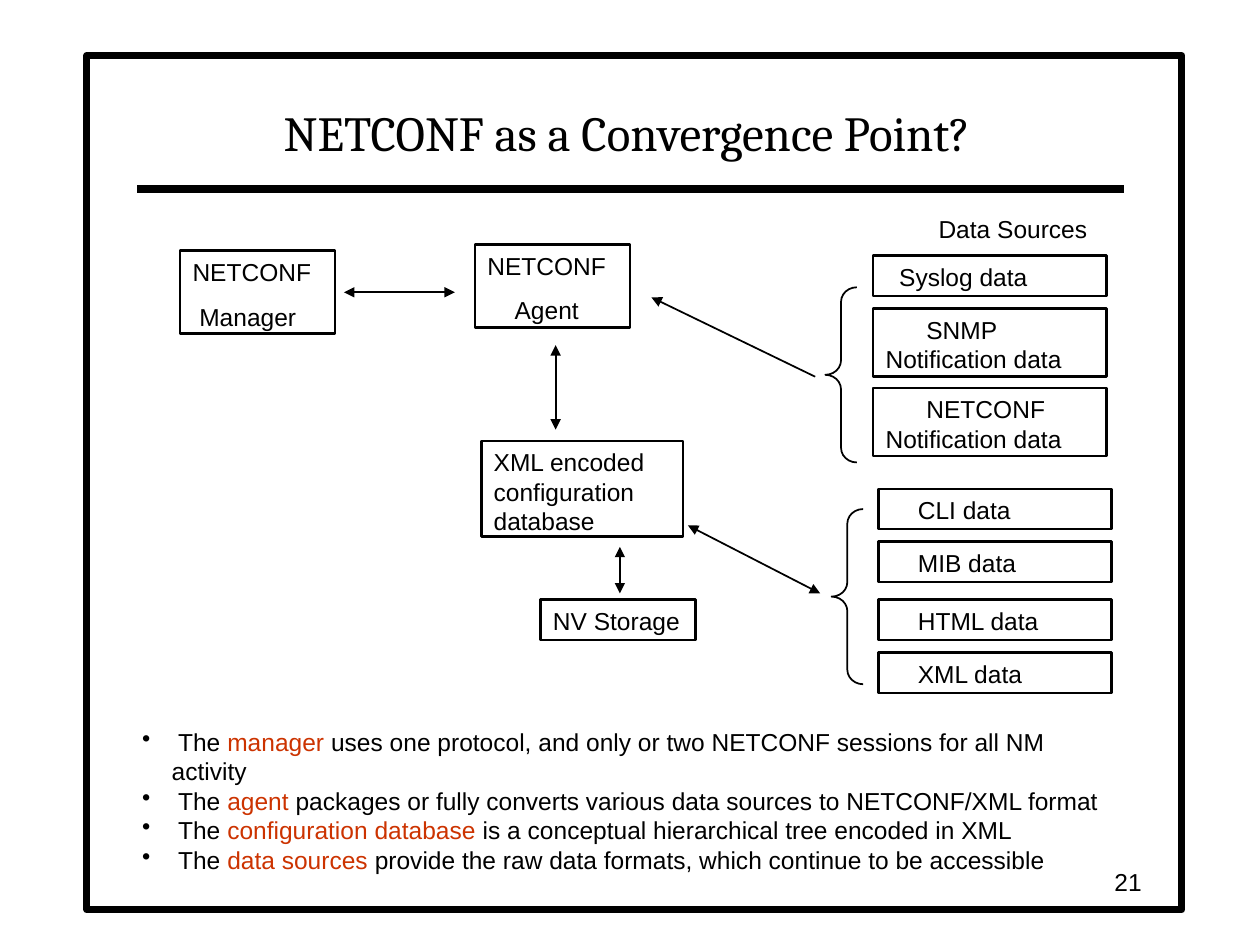
from lxml import etree
from pptx import Presentation
from pptx.dml.color import RGBColor
from pptx.enum.shapes import MSO_CONNECTOR, MSO_SHAPE
from pptx.enum.text import MSO_ANCHOR, PP_ALIGN
from pptx.oxml.ns import qn
from pptx.util import Inches, Pt

RECTANGLE, LEFT_BRACE = MSO_SHAPE.RECTANGLE, MSO_SHAPE.LEFT_BRACE
STRAIGHT = MSO_CONNECTOR.STRAIGHT
LEFT, CENTER, RIGHT = PP_ALIGN.LEFT, PP_ALIGN.CENTER, PP_ALIGN.RIGHT
TOP, MIDDLE, BOTTOM = MSO_ANCHOR.TOP, MSO_ANCHOR.MIDDLE, MSO_ANCHOR.BOTTOM
BLACK, WHITE, RED = "000000", "FFFFFF", "CC3300"
color = RGBColor.from_string

# The slide is a grid of 100 columns by 75 rows of square cells
CELL = Inches(0.1)
SPACE = 0.54  # columns taken by one 14 pt space

presentation = Presentation()
presentation.slide_width, presentation.slide_height = 100 * CELL, 75 * CELL
slide = presentation.slides.add_slide(presentation.slide_layouts[6])
shapes = slide.shapes


def write_text(shape, text, align=LEFT, anchor=TOP, size=14, font="Arial", wrap=True):
    frame = shape.text_frame
    frame.text = text
    frame.word_wrap, frame.vertical_anchor = wrap, anchor
    for paragraph in frame.paragraphs:
        paragraph.alignment = align
        paragraph.font.size, paragraph.font.name = Pt(size), font
        paragraph.font.color.rgb = color(BLACK)
    return frame


def add_line(start, end, width=1, arrowheads=()):
    points = [round(value * CELL) for value in (*start, *end)]
    line = shapes.add_connector(STRAIGHT, *points)
    line.line.width, line.line.color.rgb = Pt(width), color(BLACK)
    for tag in arrowheads:
        etree.SubElement(line.line._get_or_add_ln(), qn(tag), type="triangle")
    etree.SubElement(line._element.spPr, qn("a:effectLst"))


# Page frame and rule under the title
page_frame = shapes.add_shape(RECTANGLE, *[round(v * CELL) for v in (6.9, 4.4, 86.9, 67.8)])
page_frame.shadow.inherit = False
page_frame.fill.solid()
page_frame.fill.fore_color.rgb = color(WHITE)
page_frame.line.width, page_frame.line.color.rgb = Pt(4), color(BLACK)
add_line((10.9, 15), (89.2, 15), 4.5)

# Title, heading of the sources, page number
labels = [
    ("NETCONF as a Convergence Point?", (10.8, 5.8, 77.9, 7.5), CENTER, BOTTOM, 28, "Cambria", True),
    ("Data Sources", (73.5, 16.5, 13.8, 3.2), LEFT, TOP, 14, "Arial", False),
    ("21", (70.8, 68.3, 20.8, 3.3), RIGHT, MIDDLE, 14, "Arial", True),
]
for text, place, *style in labels:
    write_text(shapes.add_textbox(*[round(v * CELL) for v in place]), text, *style)

# Boxes: text, place, and first-line indent in spaces for each paragraph
boxes = [
    ("NETCONF\nManager", (14.3, 19.9, 12.3, 6.6), (0, 1)),
    ("NETCONF\nAgent", (37.7, 19.4, 12.3, 6.6), (0, 4)),
    ("XML encoded configuration database", (38.2, 35, 16, 7.6), (0,)),
    ("NV Storage", (42.9, 47.6, 12.3, 3.2), (0,)),
    ("Syslog data", (69.3, 20.3, 18.5, 3.2), (2,)),
    ("SNMP Notification data", (69.3, 24.5, 18.5, 5.4), (6,)),
    ("NETCONF Notification data", (69.3, 30.8, 18.5, 5.4), (6,)),
]
for name, row in (("CLI", 38.8), ("MIB", 43), ("HTML", 47.6), ("XML", 51.8)):
    boxes.append((f"{name} data", (69.7, row, 18.5, 3.2), (4,)))

for text, place, indents in boxes:
    box = shapes.add_shape(RECTANGLE, *[round(v * CELL) for v in place])
    box.shadow.inherit = False
    box.fill.background()
    box.line.width, box.line.color.rgb = Pt(1.5), color(BLACK)
    frame = write_text(box, text)
    for paragraph, spaces in zip(frame.paragraphs, indents):
        paragraph.space_before = Pt(8.7)
        paragraph._p.get_or_add_pPr().set("indent", str(round(spaces * SPACE * CELL)))

# Braces that group the sources
for column, row in ((65.5, 22.8), (66, 40.4)):
    brace = shapes.add_shape(LEFT_BRACE, *[round(v * CELL) for v in (column, row, 2.5, 13.9)])
    brace.shadow.inherit = False
    brace.adjustments[0] = 0.46
    brace.fill.background()
    brace.line.width, brace.line.color.rgb = Pt(1), color(BLACK)

# Arrows between the parts
both_ends = ("a:headEnd", "a:tailEnd")
add_line((27.3, 23.2), (36.1, 23.2), arrowheads=both_ends)  # manager, agent
add_line((51.7, 23.6), (64.7, 29.9), arrowheads=both_ends[:1])  # notifications to agent
add_line((44.1, 34.1), (44.1, 27.4), arrowheads=both_ends)  # database, agent
add_line((65.1, 47.1), (54.6, 41.7), arrowheads=both_ends)  # data, database
add_line((49.2, 47.1), (49.2, 43.4), arrowheads=both_ends)  # storage, database

# Bullets, each with one highlighted term
bullets = [
    ("manager", "uses one protocol, and only or two NETCONF sessions for all NM activity"),
    ("agent", "packages or fully converts various data sources to NETCONF/XML format"),
    ("configuration database", "is a conceptual hierarchical tree encoded in XML"),
    ("data sources", "provide the raw data formats, which continue to be accessible"),
]
bullet_box = shapes.add_textbox(*[round(v * CELL) for v in (10.3, 57.2, 79.4, 9.8)])
frame = write_text(bullet_box, "\n".join(" The " for _ in bullets))
for paragraph, (term, statement) in zip(frame.paragraphs, bullets):
    highlight = paragraph.add_run()
    highlight.text = term
    highlight.font.color.rgb = color(RED)
    paragraph.add_run().text = f" {statement}"
    for run in paragraph.runs:
        run.font.size, run.font.name = Pt(14), "Arial"
    properties = paragraph._p.get_or_add_pPr()
    properties.set("marL", str(round(2.35 * CELL)))
    properties.set("indent", str(round(-2.35 * CELL)))
    bullet = etree.Element(qn("a:buChar"), char="•")
    properties.insert(0, bullet)

presentation.save("out.pptx")
